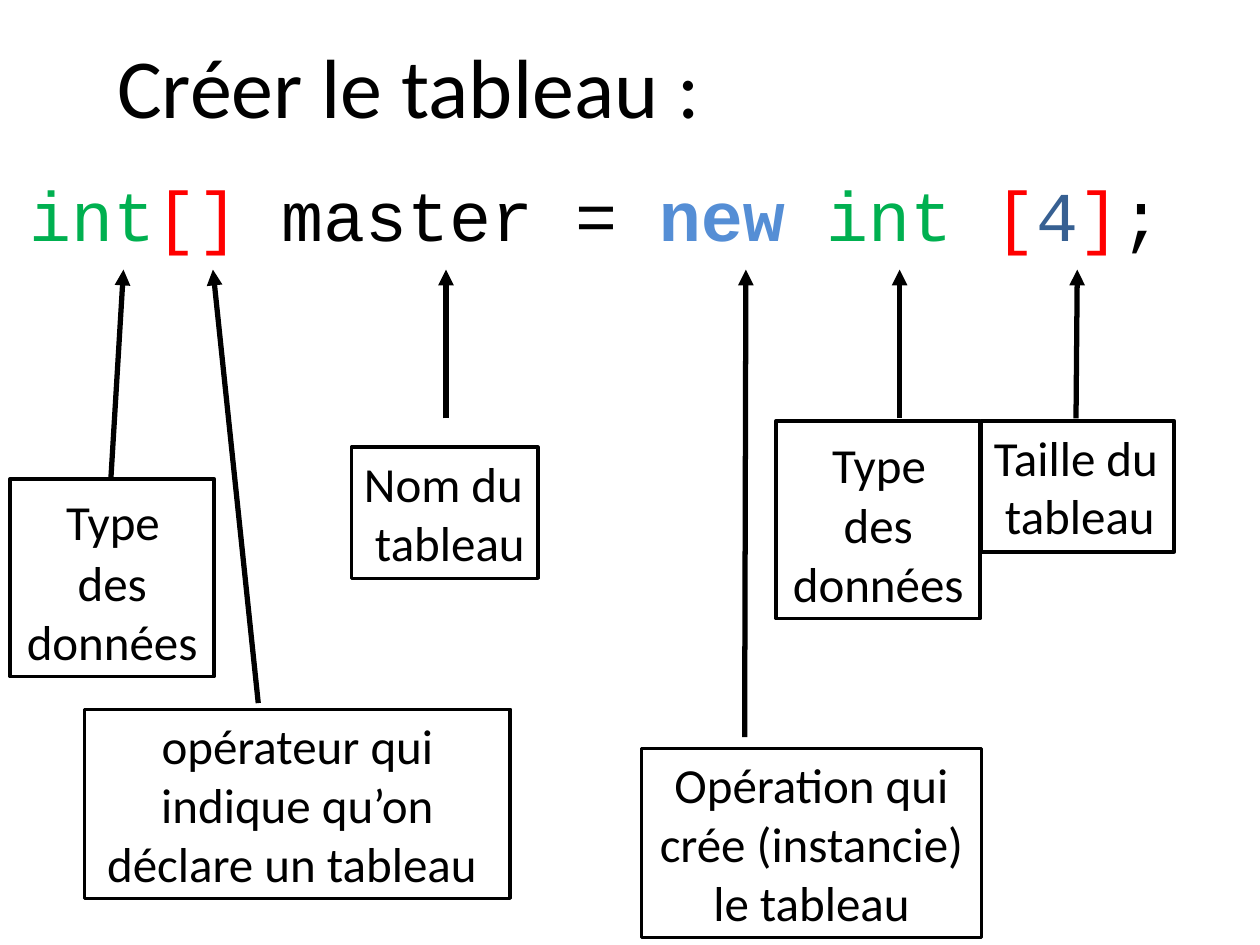
"""Build the slide that explains how an array is created."""
from pptx import Presentation
from pptx.dml.color import RGBColor as Rgb
from pptx.enum.shapes import MSO_CONNECTOR as Link, MSO_SHAPE as Shape
from pptx.enum.text import MSO_ANCHOR as Anchor, MSO_AUTO_SIZE as Fit, PP_ALIGN as Align
from pptx.oxml.ns import qn
from pptx.util import Inches, Pt
from lxml.etree import SubElement as Sub

HUES = {"ink": "000000", "paper": "FFFFFF", "type": "00B050",
        "mark": "FF0000", "word": "558ED5", "size": "376092"}


def hue(name):
    return Rgb.from_string(HUES[name])


def write(par, text, size, tone="ink", face="Calibri", bold=False):
    run = par.add_run()
    run.text = text
    for key, val in {"size": Pt(size), "name": face, "bold": bold}.items():
        setattr(run.font, key, val)
    run.font.color.rgb = hue(tone)


deck = Presentation()
deck.slide_width, deck.slide_height = Inches(10), Inches(7.5)
wide, high = deck.slide_width, deck.slide_height
slide = deck.slides.add_slide(deck.slide_layouts[5])
shapes = slide.shapes

title = shapes.title
spot = {"left": 0.083, "top": 0.03, "width": 0.5, "height": 0.12}
for key, part in spot.items():
    setattr(title, key, int(part * (wide if key in ("left", "width") else high)))
frame = title.text_frame
for key, val in {"word_wrap": False, "vertical_anchor": Anchor.TOP, "auto_size": Fit.NONE}.items():
    setattr(frame, key, val)
frame.paragraphs[0].alignment = Align.LEFT
write(frame.paragraphs[0], "Créer le tableau :", 48)

code = shapes.add_textbox(Inches(0.08), Inches(0.9), Inches(9.3), Inches(1.25))
frame = code.text_frame
for key, val in {"word_wrap": True, "vertical_anchor": Anchor.MIDDLE}.items():
    setattr(frame, key, val)
line = frame.paragraphs[0]
for key, val in {"alignment": Align.CENTER, "line_spacing": 1.5}.items():
    setattr(line, key, val)
for text, tone in [("int", "type"), ("[]", "mark"), (" master = ", "ink"),
                   ("new ", "word"), ("int", "type"), (" [", "mark"),
                   ("4", "size"), ("]", "mark"), (";", "ink")]:
    write(line, text, 40, tone, "Courier New", tone == "word")

tip = 2.14
for x, y, end in [(2.05, 5.58, 1.69), (5.91, 5.85, 5.92), (3.54, 3.32, 3.54),
                  (0.88, 3.8, 0.98), (8.54, 3.32, 8.55), (7.14, 3.32, 7.14)]:
    arrow = shapes.add_connector(Link.STRAIGHT, *map(Inches, (x, y, end, tip)))
    arrow.line.width = Pt(3)
    arrow.line.color.rgb = hue("ink")
    Sub(arrow.line._get_or_add_ln(), qn("a:tailEnd"), type="triangle")
    Sub(arrow._element.spPr, qn("a:effectLst"))

kind = [[(" ", 32), ("Type ", 28)], [("des données", 28)]]
name = [[("Nom du", 28)], [(" tableau", 28)]]
count = [[("Taille du", 28)], [(" tableau", 28)]]
sign = [[("opérateur qui indique qu’on déclare un tableau ", 28)]]
make = [[("Opération qui crée (instancie) le tableau", 28)]]
for spot, lines, wrap in [((0.08, 3.8, 1.62, 1.57), kind, True),
                          ((2.79, 3.55, 1.48, 1.04), name, False),
                          ((0.67, 5.63, 3.38, 1.5), sign, True),
                          ((7.79, 3.34, 1.53, 1.04), count, False),
                          ((6.16, 3.34, 1.62, 1.57), kind, True),
                          ((5.09, 5.94, 2.7, 1.5), make, True)]:
    box = shapes.add_shape(Shape.RECTANGLE, *map(Inches, spot))
    box.shadow.inherit = False
    box.fill.solid()
    box.fill.fore_color.rgb = hue("paper")
    box.line.color.rgb = hue("ink")
    box.line.width = Pt(2)
    frame = box.text_frame
    for key, val in {"word_wrap": wrap, "auto_size": Fit.SHAPE_TO_FIT_TEXT,
                     "vertical_anchor": Anchor.TOP}.items():
        setattr(frame, key, val)
    for row, runs in enumerate(lines):
        par = frame.add_paragraph() if row else frame.paragraphs[0]
        par.alignment = Align.CENTER if wrap else Align.LEFT
        for text, size in runs:
            write(par, text, size)

deck.save("out.pptx")
